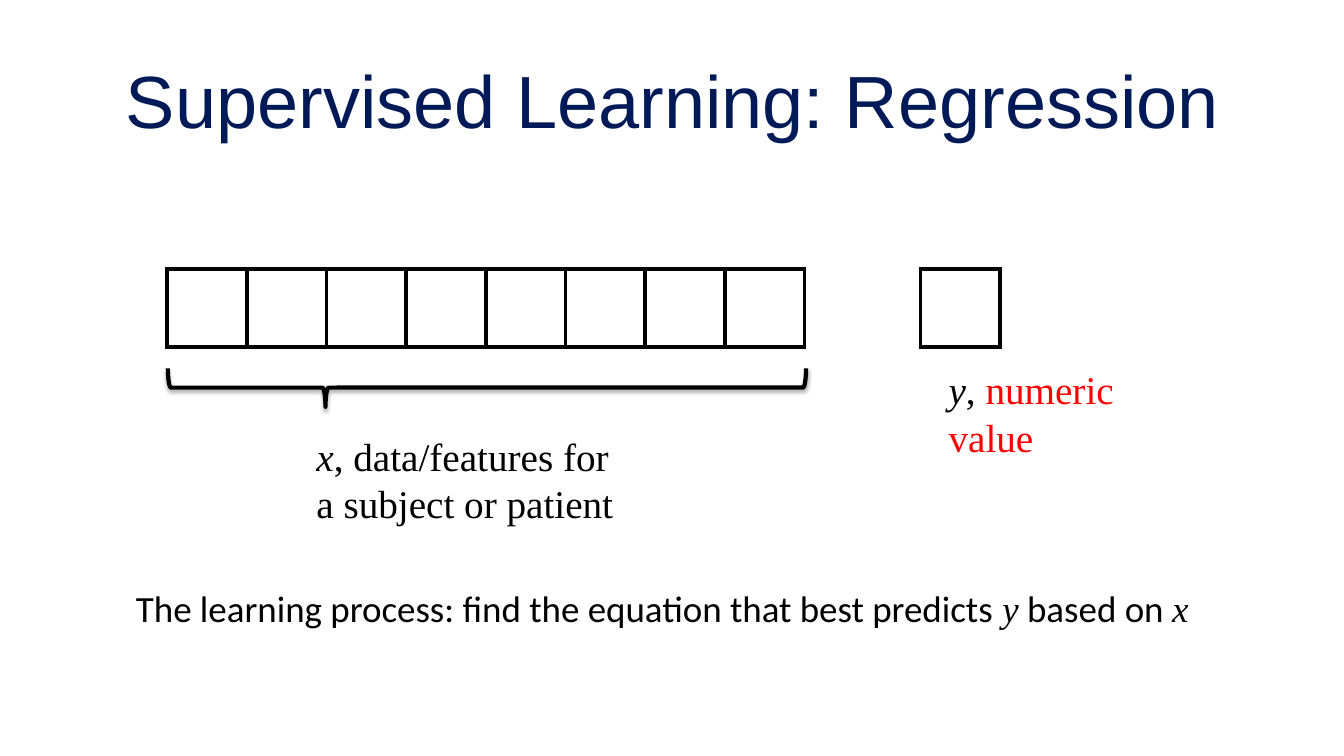
import dataclasses

import lxml.etree
import pptx
import pptx.dml.color
import pptx.enum.shapes
import pptx.enum.text
import pptx.oxml
import pptx.oxml.ns
import pptx.slide
import pptx.util

Inches = pptx.util.Inches
Pt = pptx.util.Pt

COLORS = {"ink": "000000", "title": "001A57", "accent": "FF0000"}
SERIF = "Times New Roman"
CELL_WIDTH = 0.79
CELL_HEIGHT = 0.77
CELL_TOP = 2.67


@dataclasses.dataclass(frozen=True)
class Span:
    text: str
    color: str = "ink"
    italic: bool = False
    font: str | None = None


@dataclasses.dataclass(frozen=True)
class Label:
    left: float
    top: float
    width: float
    height: float
    size: float
    font: str
    paragraphs: tuple[tuple[Span, ...], ...]
    centered: bool = False
    wrap: bool = True


@dataclasses.dataclass(frozen=True)
class CellStrip:
    left: float
    count: int


LABELS = (
    Label(3.04, 4.24, 3.27, 1.04, 28, SERIF,
          ((Span("x", italic=True),
            Span(", data/features for a subject or patient")),)),
    Label(9.31, 3.58, 2.92, 1.04, 28, SERIF,
          ((Span("y", italic=True), Span(", "), Span("numeric", "accent")),
           (Span("value", "accent"),))),
    Label(0.67, 0.36, 12, 1.25, 52.8, "Arial",
          ((Span("Supervised Learning: Regression", "title"),),),
          centered=True),
    Label(1.25, 5.76, 10.83, 0.54, 26.4, "Calibri",
          ((Span("The learning process: find the equation that best predicts "),
            Span("y", italic=True, font=SERIF),
            Span(" based on "),
            Span("x", italic=True, font=SERIF)),),
          wrap=False),
)
STRIPS = (CellStrip(1.66, 8), CellStrip(9.13, 1))


def rgb(name: str) -> pptx.dml.color.RGBColor:
    return pptx.dml.color.RGBColor.from_string(COLORS[name])


def draw_label(page: pptx.slide.Slide, label: Label) -> None:
    box = page.shapes.add_textbox(Inches(label.left), Inches(label.top),
                                  Inches(label.width), Inches(label.height))
    frame = box.text_frame
    frame.word_wrap = label.wrap
    if label.centered:
        frame.vertical_anchor = pptx.enum.text.MSO_ANCHOR.MIDDLE
    for index, spans in enumerate(label.paragraphs):
        para = frame.add_paragraph() if index else frame.paragraphs[0]
        para.font.size = Pt(label.size)
        if label.centered:
            para.alignment = pptx.enum.text.PP_ALIGN.CENTER
        for span in spans:
            run = para.add_run()
            run.text = span.text
            run.font.name = span.font or label.font
            run.font.italic = span.italic
            run.font.color.rgb = rgb(span.color)


def draw_strip(page: pptx.slide.Slide, strip: CellStrip) -> None:
    table = page.shapes.add_table(
        1, strip.count, Inches(strip.left), Inches(CELL_TOP),
        Inches(CELL_WIDTH * strip.count), Inches(CELL_HEIGHT)).table
    table.first_row = False
    table.horz_banding = False
    for column in table.columns:
        column.width = Inches(CELL_WIDTH)
    for cell in table.iter_cells():
        add_borders(cell)
        cell.fill.background()


def add_borders(cell) -> None:
    properties = cell._tc.get_or_add_tcPr()
    for side in ("lnL", "lnR", "lnT", "lnB"):
        properties.append(pptx.oxml.parse_xml(
            f'<a:{side} {pptx.oxml.ns.nsdecls("a")} w="{Pt(3)}">'
            f'<a:solidFill><a:srgbClr val="{COLORS["ink"]}"/></a:solidFill>'
            f'</a:{side}>'))


def draw_brace(page: pptx.slide.Slide) -> None:
    brace = page.shapes.add_shape(
        pptx.enum.shapes.MSO_SHAPE.LEFT_BRACE,
        Inches(4.64), Inches(0.68), Inches(0.38), Inches(6.33))
    brace.rotation = 270
    brace.adjustments[0] = 0.083
    brace.adjustments[1] = 0.247
    brace.fill.background()
    brace.line.color.rgb = rgb("ink")
    brace.line.width = Pt(3)
    brace.shadow.inherit = False
    effects = brace._element.spPr.find(pptx.oxml.ns.qn("a:effectLst"))
    shadow = lxml.etree.SubElement(
        effects, pptx.oxml.ns.qn("a:outerShdw"), blurRad=str(Pt(3.1)),
        dist=str(Pt(1.8)), dir="5400000", rotWithShape="0")
    tint = lxml.etree.SubElement(shadow, pptx.oxml.ns.qn("a:srgbClr"),
                                 val=COLORS["ink"])
    lxml.etree.SubElement(tint, pptx.oxml.ns.qn("a:alpha"), val="35000")


def main() -> None:
    deck = pptx.Presentation()
    deck.slide_width = Inches(13.33)
    deck.slide_height = Inches(7.5)
    page = deck.slides.add_slide(deck.slide_layouts[6])
    draw_brace(page)
    for label in LABELS:
        draw_label(page, label)
    for strip in STRIPS:
        draw_strip(page, strip)
    deck.save("out.pptx")


if __name__ == "__main__":
    main()
